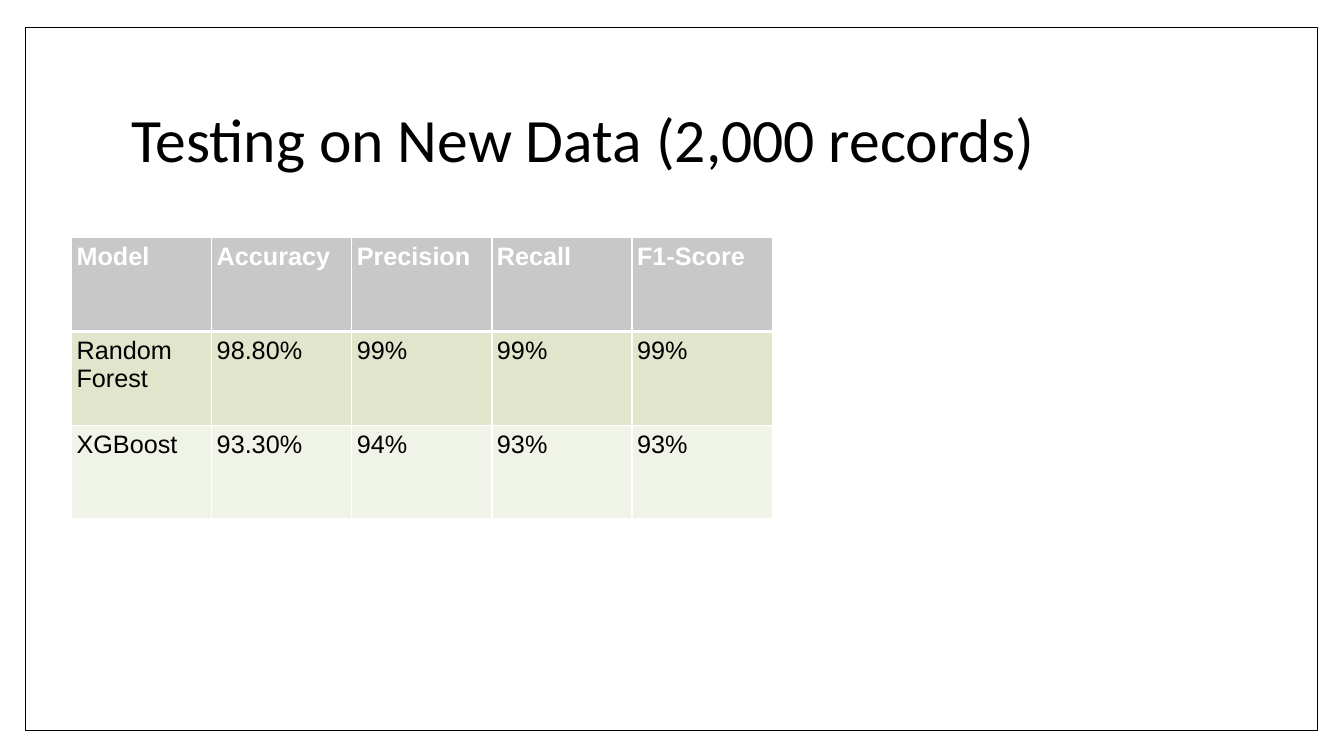
from dataclasses import dataclass

import pptx
import pptx.dml.color
import pptx.enum.shapes
import pptx.enum.text
import pptx.oxml
import pptx.oxml.ns
import pptx.table
import pptx.text.text
import pptx.util

Inches = pptx.util.Inches
RGBColor = pptx.dml.color.RGBColor
Anchor = pptx.enum.text.MSO_ANCHOR

BLACK = RGBColor(0x00, 0x00, 0x00)
WHITE = RGBColor(0xFF, 0xFF, 0xFF)
GRAY = RGBColor(0xC8, 0xC8, 0xC8)
GREEN = RGBColor(0xE0, 0xE5, 0xCB)
PALE = RGBColor(0xF0, 0xF3, 0xE7)

INSET = Inches(0.05)
COL_WIDTH = 1.39
ROW_HEIGHT = 0.93


@dataclass
class Row:
    texts: list[str]
    fill: RGBColor
    color: RGBColor = BLACK
    bold: bool = False
    top: int = 1
    bottom: int = 1


ROWS = [
    Row(["Model", "Accuracy", "Precision", "Recall", "F1-Score"],
        GRAY, color=WHITE, bold=True, bottom=3),
    Row(["Random Forest", "98.80%", "99%", "99%", "99%"], GREEN, top=3),
    Row(["XGBoost", "93.30%", "94%", "93%", "93%"], PALE),
]


def write(frame: pptx.text.text.TextFrame, text: str, *, size: int, font: str,
          color: RGBColor = BLACK, bold: bool = False,
          spacing: float = 1.0) -> None:
    frame.word_wrap = True
    para = frame.paragraphs[0]
    para.line_spacing = spacing
    run = para.add_run()
    run.text = text
    run.font.size = pptx.util.Pt(size)
    run.font.name = font
    run.font.color.rgb = color
    run.font.bold = bold


def set_insets(box: pptx.table._Cell | pptx.text.text.TextFrame) -> None:
    box.margin_left = box.margin_right = INSET
    box.margin_top = box.margin_bottom = INSET


def add_border(cell: pptx.table._Cell, side: str, width: int) -> None:
    names = pptx.oxml.ns.nsdecls("a")
    line = pptx.oxml.parse_xml(
        f'<a:{side} {names} w="{pptx.util.Pt(width)}"><a:solidFill>'
        f'<a:srgbClr val="{WHITE}"/></a:solidFill></a:{side}>')
    cell._tc.get_or_add_tcPr().append(line)


def fill_cell(cell: pptx.table._Cell, text: str, row: Row) -> None:
    set_insets(cell)
    cell.vertical_anchor = Anchor.TOP
    for side, width in (("lnL", 1), ("lnR", 1),
                        ("lnT", row.top), ("lnB", row.bottom)):
        add_border(cell, side, width)
    cell.fill.solid()
    cell.fill.fore_color.rgb = row.fill
    write(cell.text_frame, text, size=18, font="Arial",
          color=row.color, bold=row.bold)


def main() -> None:
    deck = pptx.Presentation()
    deck.slide_width = Inches(13.33)
    deck.slide_height = Inches(7.5)
    shapes = deck.slides.add_slide(deck.slide_layouts[6]).shapes

    frame = shapes.add_shape(pptx.enum.shapes.MSO_SHAPE.RECTANGLE, Inches(0.25),
                             Inches(0.27), Inches(12.82), Inches(6.98))
    frame.shadow.inherit = False
    frame.fill.solid()
    frame.fill.fore_color.rgb = WHITE
    frame.line.color.rgb = BLACK
    frame.line.width = pptx.util.Pt(1)

    title = shapes.add_textbox(Inches(1.25), Inches(0.67),
                               Inches(10.8), Inches(1.48)).text_frame
    set_insets(title)
    title.vertical_anchor = Anchor.MIDDLE
    write(title, "Testing on New Data (2,000 records)",
          size=44, font="Calibri", spacing=0.9)

    count = len(ROWS[0].texts)
    table = shapes.add_table(len(ROWS), count, Inches(0.71), Inches(2.36),
                             Inches(COL_WIDTH * count),
                             Inches(ROW_HEIGHT * len(ROWS))).table
    for column in table.columns:
        column.width = Inches(COL_WIDTH)
    for line, row in zip(table.rows, ROWS):
        line.height = Inches(ROW_HEIGHT)
        for cell, text in zip(line.cells, row.texts):
            fill_cell(cell, text, row)

    deck.save("out.pptx")


if __name__ == "__main__":
    main()
